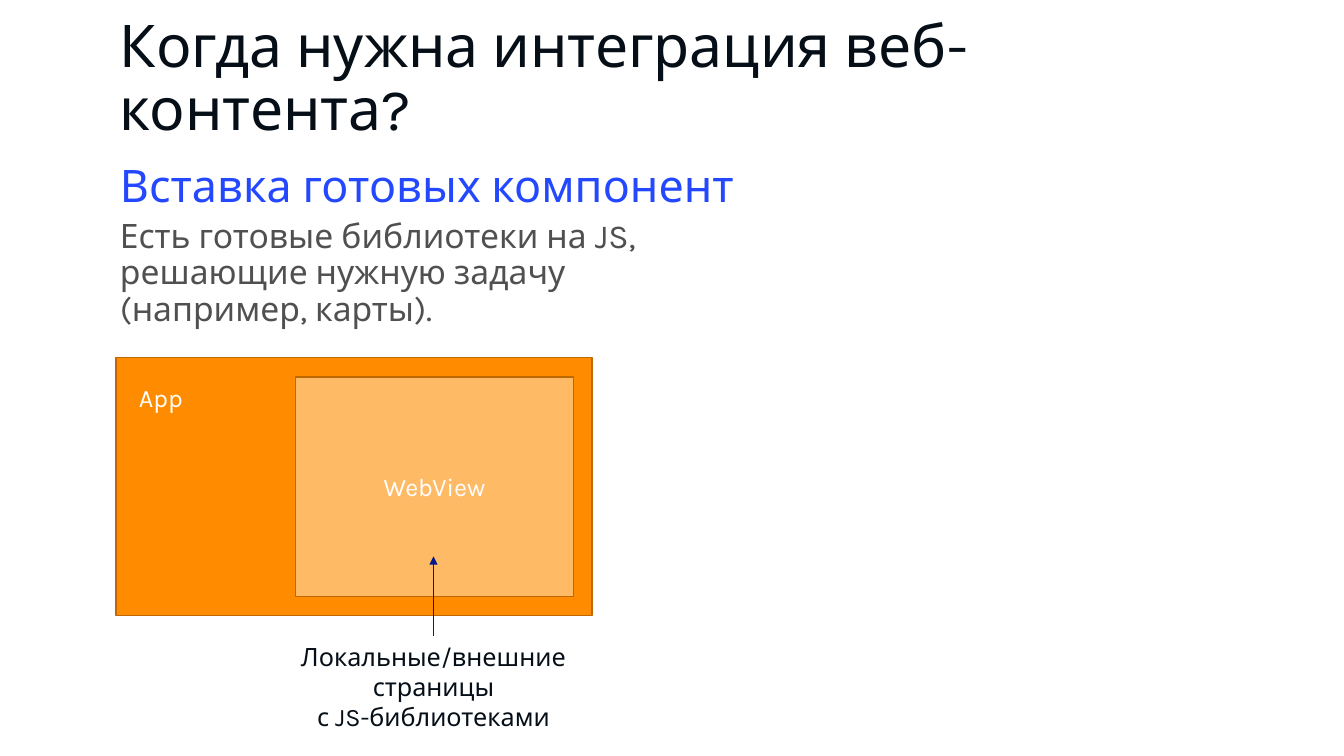
from lxml.etree import SubElement
from pptx import Presentation
from pptx.dml.color import RGBColor
from pptx.enum.shapes import MSO_CONNECTOR, MSO_SHAPE
from pptx.enum.text import MSO_ANCHOR, PP_ALIGN
from pptx.oxml.ns import qn
from pptx.util import Inches, Pt

INK = RGBColor(0x06, 0x0F, 0x18)
BLUE = RGBColor(0x23, 0x48, 0xFF)
GREY = RGBColor(0x50, 0x50, 0x50)
WHITE = RGBColor(0xFF, 0xFF, 0xFF)
ORANGE = RGBColor(0xFF, 0x8C, 0x00)
PEACH = RGBColor(0xFF, 0xBA, 0x66)
BROWN = RGBColor(0xBD, 0x68, 0x00)
NAVY = RGBColor(0x00, 0x18, 0x8F)

HEADING_INSETS = {"margin_left": Inches(0.04), "margin_right": Inches(0.04)}


class SlideBuilder:
    font_name = "Karla"
    line_width = Pt(1)

    def __init__(self, page):
        self.page = page

    def fill_paragraph(self, para, text, size, color, **para_format):
        """Fill a paragraph; a newline in the text is a line break."""
        para.text = text
        for name, value in para_format.items():
            setattr(para, name, value)
        for span in para.runs:
            span.font.name = self.font_name
            span.font.size = Pt(size)
            span.font.color.rgb = color

    def text_box(self, place, paragraphs, **frame_format):
        box = self.page.shapes.add_textbox(*map(Inches, place))
        frame = box.text_frame
        for name, value in {"word_wrap": True, **frame_format}.items():
            setattr(frame, name, value)
        for index, (text, size, color, para_format) in enumerate(paragraphs):
            para = frame.add_paragraph() if index else frame.paragraphs[0]
            self.fill_paragraph(para, text, size, color, **para_format)
        return box

    def rectangle(self, place, fill, text=""):
        box = self.page.shapes.add_shape(MSO_SHAPE.RECTANGLE, *map(Inches, place))
        box.shadow.inherit = False
        box.fill.solid()
        box.fill.fore_color.rgb = fill
        box.line.color.rgb = BROWN
        box.line.width = self.line_width
        if text:
            box.text_frame.vertical_anchor = MSO_ANCHOR.MIDDLE
            self.fill_paragraph(box.text_frame.paragraphs[0], text, 18, WHITE,
                                alignment=PP_ALIGN.CENTER)
        return box

    def arrow(self, start, end, source):
        """Draw an arrow that leaves the top of the source box."""
        arrow = self.page.shapes.add_connector(
            MSO_CONNECTOR.STRAIGHT, *map(Inches, start + end))
        arrow.begin_connect(source, 0)
        arrow.line.color.rgb = NAVY
        arrow.line.width = self.line_width
        outline = arrow._element.spPr.find(qn("a:ln"))
        SubElement(outline, qn("a:tailEnd"), type="triangle")
        SubElement(arrow._element.spPr, qn("a:effectLst"))


def main():
    deck = Presentation()
    deck.slide_width, deck.slide_height = Inches(13.33), Inches(7.5)
    builder = SlideBuilder(deck.slides.add_slide(deck.slide_layouts[6]))

    # Title and explanation
    builder.text_box(
        (1.15, 0.4, 11.26, 0.79),
        [("Когда нужна интеграция веб-контента?", 42, INK, {"line_spacing": 0.9})],
        vertical_anchor=MSO_ANCHOR.MIDDLE, **HEADING_INSETS)
    builder.text_box(
        (1.15, 1.58, 11.26, 5.31),
        [("Вставка готовых компонент", 32, BLUE,
          {"line_spacing": 0.9, "space_before": Pt(18)}),
         ("Есть готовые библиотеки на JS,\nрешающие нужную задачу\n(например, карты).",
          24, GREY, {"line_spacing": 0.9, "space_before": Pt(5)})],
        **HEADING_INSETS)

    # Application with the embedded web view
    builder.rectangle((1.15, 3.55, 4.72, 2.56), ORANGE)
    builder.text_box((1.28, 3.74, 0.66, 0.4), [("App", 18, WHITE, {})],
                     word_wrap=False)
    builder.rectangle((2.93, 3.74, 2.76, 2.18), PEACH, "WebView")

    # Caption and its arrow into the web view
    caption = builder.text_box(
        (2.4, 6.31, 3.8, 0.71),
        [("Локальные/внешние страницы\nс JS-библиотеками", 18, INK,
          {"alignment": PP_ALIGN.CENTER})])
    builder.arrow((4.3, 6.31), (4.3, 5.52), caption)

    deck.save("out.pptx")


if __name__ == "__main__":
    main()
